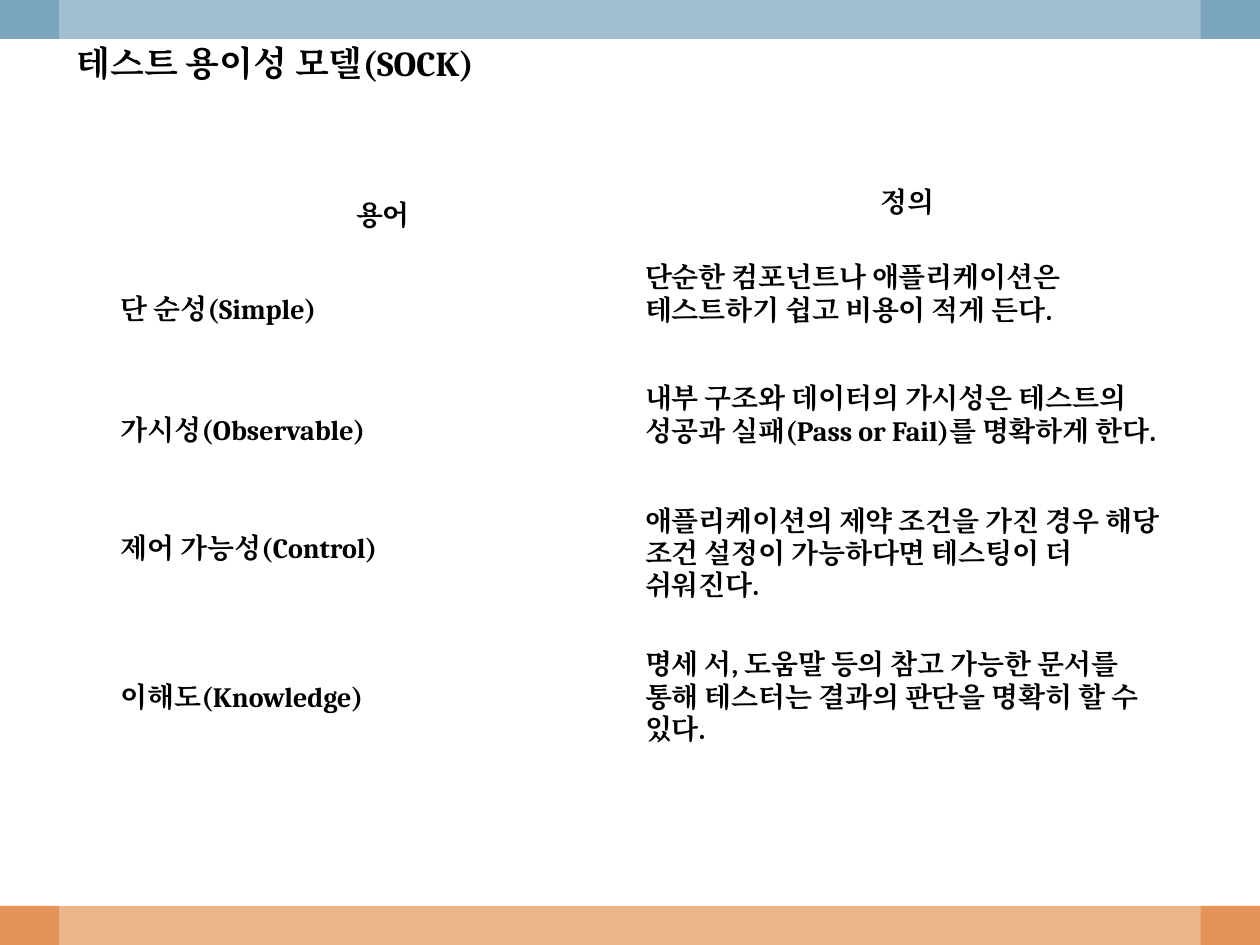
from lxml import etree
from pptx import Presentation
from pptx.dml.color import RGBColor
from pptx.enum.shapes import MSO_SHAPE
from pptx.enum.text import MSO_ANCHOR, MSO_AUTO_SIZE, PP_ALIGN
from pptx.oxml.ns import qn
from pptx.util import Inches, Pt

RECTANGLE = MSO_SHAPE.RECTANGLE
MIDDLE = MSO_ANCHOR.MIDDLE
FIT_SHAPE = MSO_AUTO_SIZE.SHAPE_TO_FIT_TEXT
LEFT, CENTER = PP_ALIGN.LEFT, PP_ALIGN.CENTER

FONT = "Cambria"
COLORS = {"text": "000000", "paper": "FFFFFF", "top": "7BA5BE", "bottom": "E49458"}
WIDTH, HEIGHT, BAND, SIDE = 10, 7.5, 0.31, 0.47
LINE_GAP = 0.24
INDENT = 0.05
ROW_HEIGHTS = [0.53, 0.96, 0.96, 1.16, 0.96]

# Each cell: text, and the space kept free below it
MODEL = [
    [("용어", 0), ("정의", 0.2)],
    [("단 순성(Simple)", 0),
     ("단순한 컴포넌트나 애플리케이션은 테스트하기 쉽고 비용이 적게 든다.", LINE_GAP)],
    [("가시성(Observable)", 0),
     ("내부 구조와 데이터의 가시성은 테스트의 성공과 실패(Pass or Fail)를 명확하게 한다.",
      LINE_GAP)],
    [("제어 가능성(Control)", LINE_GAP),
     ("애플리케이션의 제약 조건을 가진 경우 해당 조건 설정이 가능하다면 테스팅이 더 쉬워진다.",
      0.16)],
    [("이해도(Knowledge)", 0),
     ("명세 서, 도움말 등의 참고 가능한 문서를 통해 테스터는 결과의 판단을 명확히 할 수 있다.", 0)],
]


def color(name):
    return RGBColor.from_string(COLORS[name])


def format_paragraph(paragraph, size, align):
    paragraph.alignment = align
    font = paragraph.font
    font.name, font.size, font.bold = FONT, Pt(size), True
    font.color.rgb = color("text")


def set_korean_font(slide):
    """Use the Latin typeface for East Asian text too."""
    for latin in list(slide.element.iter(qn("a:latin"))):
        east_asian = etree.Element(qn("a:ea"), typeface=FONT)
        latin.addnext(east_asian)


def add_panel(slide, left, top, width, height, fill, opacity=100):
    panel = slide.shapes.add_shape(
        RECTANGLE, Inches(left), Inches(top), Inches(width), Inches(height))
    panel.shadow.inherit = False
    panel.line.fill.background()
    panel.fill.solid()
    panel.fill.fore_color.rgb = color(fill)
    if opacity < 100:
        rgb = panel.element.spPr.find(f".//{qn('a:srgbClr')}")
        etree.SubElement(rgb, qn("a:alpha"), val=str(opacity * 1000))


def set_title(slide, text):
    title = slide.shapes.title
    title.left, title.top = Inches(0.51), Inches(0.28)
    title.width, title.height = Inches(3.58), Inches(0.44)
    frame = title.text_frame
    frame.text = text
    frame.word_wrap = False
    frame.auto_size = FIT_SHAPE
    frame.vertical_anchor = MIDDLE
    format_paragraph(frame.paragraphs[0], 20, LEFT)
    # Bring the title in front of the translucent panel
    title.element.getparent().append(title.element)


def fill_cell(cell, text, space_below, indent, align):
    cell.fill.solid()
    cell.fill.fore_color.rgb = color("paper")
    cell.vertical_anchor = MIDDLE
    cell.margin_top = cell.margin_right = 0
    cell.margin_left = Inches(indent)
    cell.margin_bottom = Inches(space_below)
    cell.text = text
    format_paragraph(cell.text_frame.paragraphs[0], 16, align)


def add_model_table(slide):
    table = slide.shapes.add_table(
        len(MODEL), 2, Inches(0.91), Inches(1.45),
        Inches(8.42), Inches(sum(ROW_HEIGHTS))).table
    table.first_row = table.horz_banding = False
    for column in table.columns:
        column.width = Inches(4.21)
    for r, (cells, height) in enumerate(zip(MODEL, ROW_HEIGHTS)):
        table.rows[r].height = Inches(height)
        for c, (text, space_below) in enumerate(cells):
            fill_cell(table.cell(r, c), text, space_below,
                      INDENT if c == 0 else 0, CENTER if r == 0 else LEFT)
    table.cell(0, 1).margin_right = Inches(INDENT)


def main():
    prs = Presentation()
    prs.slide_width, prs.slide_height = Inches(WIDTH), Inches(HEIGHT)
    slide = prs.slides.add_slide(prs.slide_layouts[5])
    add_panel(slide, 0, HEIGHT - BAND, WIDTH, BAND, "bottom")
    add_panel(slide, 0, 0, WIDTH, BAND, "top")
    add_panel(slide, SIDE, 0, WIDTH - 2 * SIDE, HEIGHT, "paper", opacity=30)
    set_title(slide, "테스트 용이성 모델(SOCK)")
    add_model_table(slide)
    set_korean_font(slide)
    prs.save("out.pptx")


if __name__ == "__main__":
    main()
